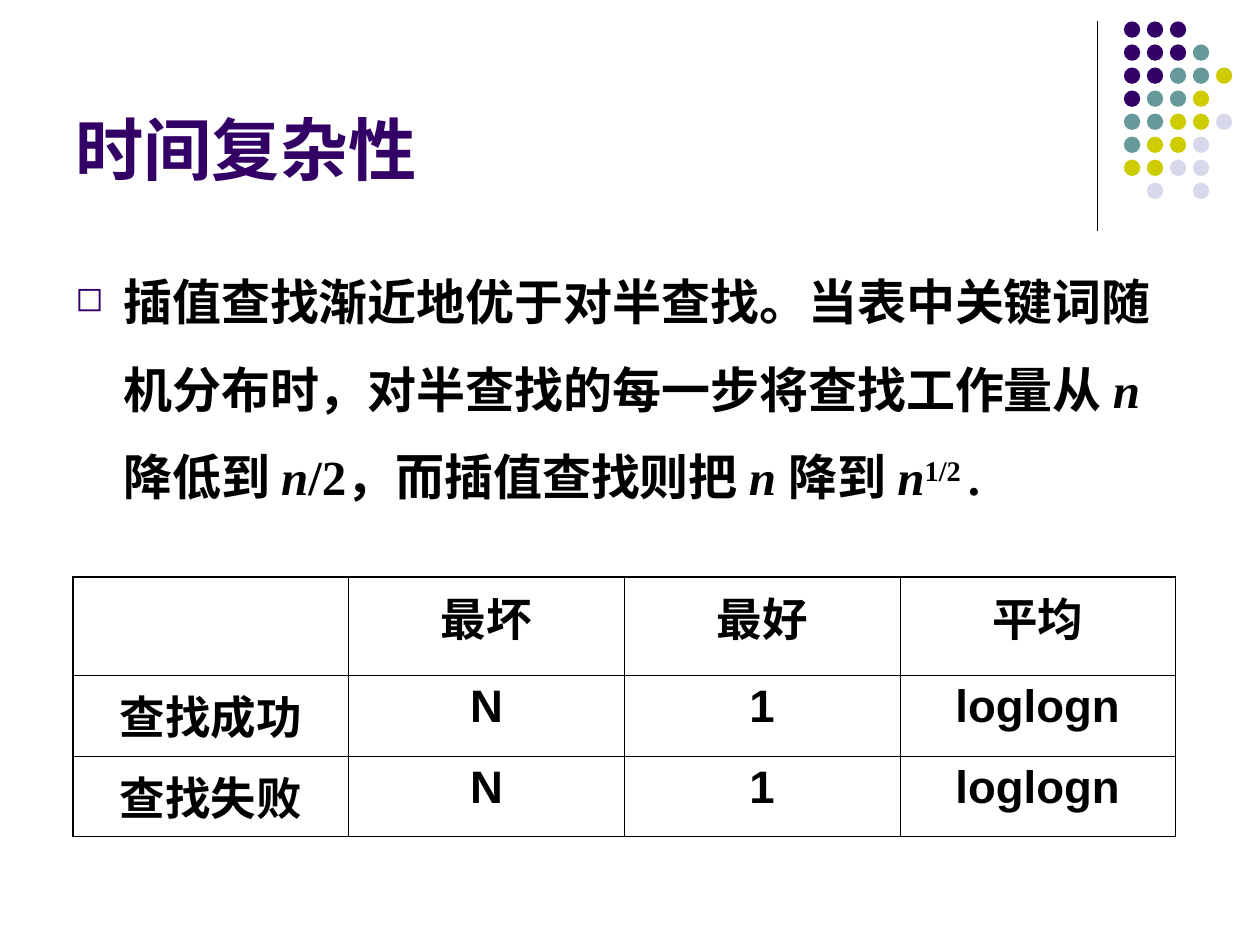
"""Build a slide on the time complexity of interpolation search."""
import dataclasses
import typing

import lxml.etree
import pptx
import pptx.dml.color
import pptx.enum.shapes
import pptx.enum.text
import pptx.oxml.ns
import pptx.util

Inches = pptx.util.Inches
Pt = pptx.util.Pt
qn = pptx.oxml.ns.qn
INK, PURPLE = "000000", "330066"
TINTS = {"P": PURPLE, "T": "669999", "Y": "CCCC00", "L": "D8D8EC"}
DOTS = ["PPP", "PPPT", "PPTTY", "PTTY", "TTYYL", "TYYL", "YYLL", " L L"]
GRID = [
    ["", "最坏", "最好", "平均"],
    ["查找成功", "N", "1", "loglogn"],
    ["查找失败", "N", "1", "loglogn"],
]


@dataclasses.dataclass
class Dot:
    """One round dot of the corner pattern."""

    row: int
    col: int
    tint: str


@dataclasses.dataclass
class Piece:
    """One run of the body text."""

    text: str
    slant: bool = False
    raised: bool = False


BODY = [
    Piece("插值查找渐近地优于对半查找。当表中关键词随机分布时，对半查找的每一步将查找工作量从 "),
    Piece("n ", slant=True),
    Piece("降低到 "),
    Piece("n", slant=True),
    Piece("/2，而插值查找则把 "),
    Piece("n ", slant=True),
    Piece("降到 "),
    Piece("n", slant=True),
    Piece("1/2 ", raised=True),
    Piece(". "),
]


def color(code: str) -> pptx.dml.color.RGBColor:
    """Turn a hex string into a colour."""
    return pptx.dml.color.RGBColor.from_string(code)


def write(para: typing.Any, text: str, *, size: float, font: str = "Arial",
          tint: str = INK, slant: bool = False, raised: bool = False) -> None:
    """Add a bold run to a paragraph."""
    run = para.add_run()
    run.text = text
    run.font.size = Pt(size)
    run.font.name = font
    run.font.bold = True
    run.font.italic = slant
    run.font.color.rgb = color(tint)
    if raised:
        run.font._element.set("baseline", "30000")


def add_box(slide: typing.Any, left: float, top: float, width: float,
            height: float, anchor: typing.Any) -> typing.Any:
    """Add a wrapped text box and return its first paragraph."""
    box = slide.shapes.add_textbox(Inches(left), Inches(top), Inches(width), Inches(height))
    box.text_frame.word_wrap = True
    box.text_frame.vertical_anchor = anchor
    return box.text_frame.paragraphs[0]


def add_bullet(para: typing.Any) -> None:
    """Give a paragraph a hanging square bullet."""
    props = para._p.get_or_add_pPr()
    props.set("marL", str(Inches(0.38)))
    props.set("indent", str(-Inches(0.38)))
    hue = lxml.etree.SubElement(props, qn("a:buClr"))
    lxml.etree.SubElement(hue, qn("a:srgbClr"), val=PURPLE)
    lxml.etree.SubElement(props, qn("a:buSzPct"), val="70000")
    lxml.etree.SubElement(props, qn("a:buChar"), char="◻")


def add_rule(slide: typing.Any) -> None:
    """Draw the upright line beside the dots."""
    x = Inches(8.71)
    line = slide.shapes.add_connector(
        pptx.enum.shapes.MSO_CONNECTOR.STRAIGHT, x, Inches(0.17), x, Inches(1.83))
    line.line.color.rgb = color(INK)
    line.line.width = Pt(0.74)
    lxml.etree.SubElement(line._element.spPr, qn("a:effectLst"))


def add_dot(group: typing.Any, dot: Dot) -> None:
    """Draw one dot at its place in the pattern."""
    oval = group.shapes.add_shape(
        pptx.enum.shapes.MSO_SHAPE.OVAL,
        Inches(8.92 + dot.col * 0.73 / 4), Inches(0.17 + dot.row * 1.28 / 7),
        Inches(0.13), Inches(0.13))
    oval.shadow.inherit = False
    oval.fill.solid()
    oval.fill.fore_color.rgb = color(dot.tint)
    oval.line.fill.background()


def set_edges(cell: typing.Any, widths: dict[str, float]) -> None:
    """Draw the four borders of a cell."""
    props = cell._tc.get_or_add_tcPr()
    for spot, (side, width) in enumerate(widths.items()):
        edge = lxml.etree.Element(qn(f"a:ln{side}"), w=str(Pt(width)))
        fill = lxml.etree.SubElement(edge, qn("a:solidFill"))
        lxml.etree.SubElement(fill, qn("a:srgbClr"), val=INK)
        props.insert(spot, edge)


def add_grid(slide: typing.Any) -> None:
    """Add the table of search costs."""
    rows, cols = len(GRID), len(GRID[0])
    table = slide.shapes.add_table(
        rows, cols, Inches(0.58), Inches(4.58), Inches(8.75), Inches(2.06)).table
    table.first_row = table.horz_banding = False
    for r, row in enumerate(GRID):
        table.rows[r].height = Inches(0.64 if r else 0.78)
        for c, text in enumerate(row):
            cell = table.cell(r, c)
            cell.fill.background()
            outer = {"L": c == 0, "R": c == cols - 1, "T": r == 0, "B": r == rows - 1}
            set_edges(cell, {side: 1.08 if out else 0.45 for side, out in outer.items()})
            para = cell.text_frame.paragraphs[0]
            para.alignment = pptx.enum.text.PP_ALIGN.CENTER
            para.space_before = Pt(6.5)
            if text:
                write(para, text, size=26)


def main() -> None:
    """Build and save the slide."""
    deck = pptx.Presentation()
    deck.slide_width, deck.slide_height = Inches(10), Inches(7.5)
    slide = deck.slides.add_slide(deck.slide_layouts[6])
    add_rule(slide)
    group = slide.shapes.add_group_shape()
    for r, row in enumerate(DOTS):
        for c, key in enumerate(row):
            if key in TINTS:
                add_dot(group, Dot(r, c, TINTS[key]))
    anchor = pptx.enum.text.MSO_ANCHOR
    title = add_box(slide, 0.5, 0.13, 8.25, 1.42, anchor.BOTTOM)
    write(title, "时间复杂性", size=39, tint=PURPLE)
    body = add_box(slide, 0.5, 1.88, 9, 4.82, anchor.TOP)
    body.line_spacing = Pt(50)
    add_bullet(body)
    for piece in BODY:
        write(body, piece.text, size=28, font="Times New Roman",
              slant=piece.slant, raised=piece.raised)
    add_grid(slide)
    deck.save("out.pptx")


main()
